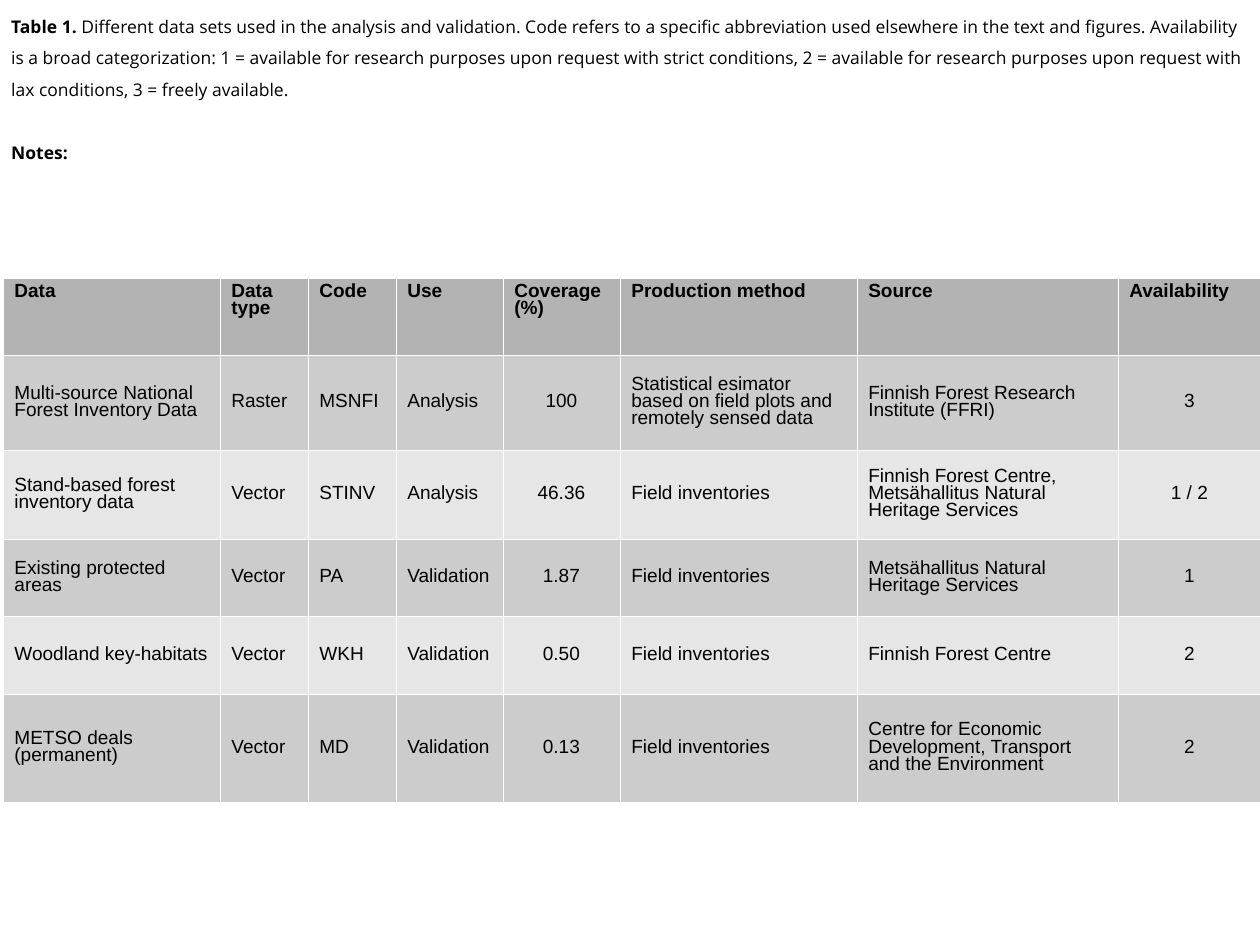
from lxml import etree
from pptx import Presentation
from pptx.dml.color import RGBColor
from pptx.enum.text import MSO_ANCHOR as Anchor, PP_ALIGN as Align
from pptx.oxml.ns import qn
from pptx.util import Pt

PX = 8000  # EMU per px
BLACK = RGBColor(0x00, 0x00, 0x00)
WHITE = RGBColor(0xFF, 0xFF, 0xFF)
HEADER_GRAY = RGBColor(0xB3, 0xB3, 0xB3)
BAND_GRAYS = (RGBColor(0xCC, 0xCC, 0xCC), RGBColor(0xE6, 0xE6, 0xE6))
BORDER_WIDTH = Pt(0.06)

CAPTION_FONT = {"name": "Open Sans", "size": Pt(11)}
TABLE_FONT = {"name": "Arial", "size": Pt(12)}

CAPTION = (
    "Different data sets used in the analysis and validation. Code refers to a "
    "specific abbreviation used elsewhere in the text and figures. Availability "
    "is a broad categorization: 1 = available for research purposes upon request "
    "with strict conditions, 2 = available for research purposes upon request "
    "with lax conditions, 3 = freely available."
)

COLUMN_WIDTHS = (217, 88, 88, 107, 117, 237, 261, 143)
ROW_HEIGHTS = (77, 95, 89, 77, 78, 108)
CENTERED_COLUMNS = (4, 7)
ROWS = (
    ("Data", "Data type", "Code", "Use", "Coverage (%)",
     "Production method", "Source", "Availability"),
    ("Multi-source National Forest Inventory Data", "Raster", "MSNFI", "Analysis", "100",
     "Statistical esimator based on field plots and remotely sensed data",
     "Finnish Forest Research Institute (FFRI)", "3"),
    ("Stand-based forest inventory data", "Vector", "STINV", "Analysis", "46.36",
     "Field inventories",
     "Finnish Forest Centre, Metsähallitus Natural Heritage Services", "1 / 2"),
    ("Existing protected areas", "Vector", "PA", "Validation", "1.87",
     "Field inventories", "Metsähallitus Natural Heritage Services", "1"),
    ("Woodland key-habitats", "Vector", "WKH", "Validation", "0.50",
     "Field inventories", "Finnish Forest Centre", "2"),
    ("METSO deals (permanent)", "Vector", "MD", "Validation", "0.13",
     "Field inventories",
     "Centre for Economic Development, Transport and the Environment", "2"),
)


def px(*lengths):
    return [length * PX for length in lengths]


def apply_format(target, values):
    for name, value in values.items():
        setattr(target, name, value)


def add_span(para, text, font, bold):
    span = para.add_run()
    span.text = text
    apply_format(span.font, {**font, "bold": bold})
    span.font.color.rgb = BLACK


def add_caption(page):
    box = page.shapes.add_textbox(*px(0, 0, 1260, 270))
    frame = box.text_frame
    frame.word_wrap = True
    summary = frame.paragraphs[0]
    summary.line_spacing = 1.5
    add_span(summary, "Table 1. ", CAPTION_FONT, True)
    add_span(summary, CAPTION, CAPTION_FONT, False)
    notes = frame.add_paragraph()
    apply_format(notes, {"line_spacing": 1.5, "space_before": Pt(20)})
    add_span(notes, "Notes:", CAPTION_FONT, True)


def add_borders(cell):
    properties = cell._tc.get_or_add_tcPr()
    for side in ("a:lnL", "a:lnR", "a:lnT", "a:lnB"):
        line = etree.SubElement(properties, qn(side), w=str(int(BORDER_WIDTH)))
        fill = etree.SubElement(line, qn("a:solidFill"))
        etree.SubElement(fill, qn("a:srgbClr"), val=str(WHITE))


def fill_cell(cell, text, color, header, centered):
    add_borders(cell)
    cell.fill.solid()
    cell.fill.fore_color.rgb = color
    cell.vertical_anchor = Anchor.TOP if header else Anchor.MIDDLE
    para = cell.text_frame.paragraphs[0]
    apply_format(para, {
        "line_spacing": 0.81,
        "alignment": Align.CENTER if centered else Align.LEFT,
    })
    add_span(para, text, TABLE_FONT, header)


def add_data_table(page):
    frame = page.shapes.add_table(
        len(ROWS), len(COLUMN_WIDTHS),
        *px(3, 278, sum(COLUMN_WIDTHS), sum(ROW_HEIGHTS)))
    table = frame.table
    for column, width in zip(table.columns, px(*COLUMN_WIDTHS)):
        column.width = width
    for row, height in zip(table.rows, px(*ROW_HEIGHTS)):
        row.height = height
    for r, texts in enumerate(ROWS):
        header = r == 0
        color = HEADER_GRAY if header else BAND_GRAYS[(r - 1) % 2]
        for c, text in enumerate(texts):
            centered = not header and c in CENTERED_COLUMNS
            fill_cell(table.cell(r, c), text, color, header, centered)


def main():
    deck = Presentation()
    deck.slide_width, deck.slide_height = px(1260, 945)
    page = deck.slides.add_slide(deck.slide_layouts[6])
    # Caption and notes heading
    add_caption(page)
    # Data set overview
    add_data_table(page)
    deck.save("out.pptx")


if __name__ == "__main__":
    main()
